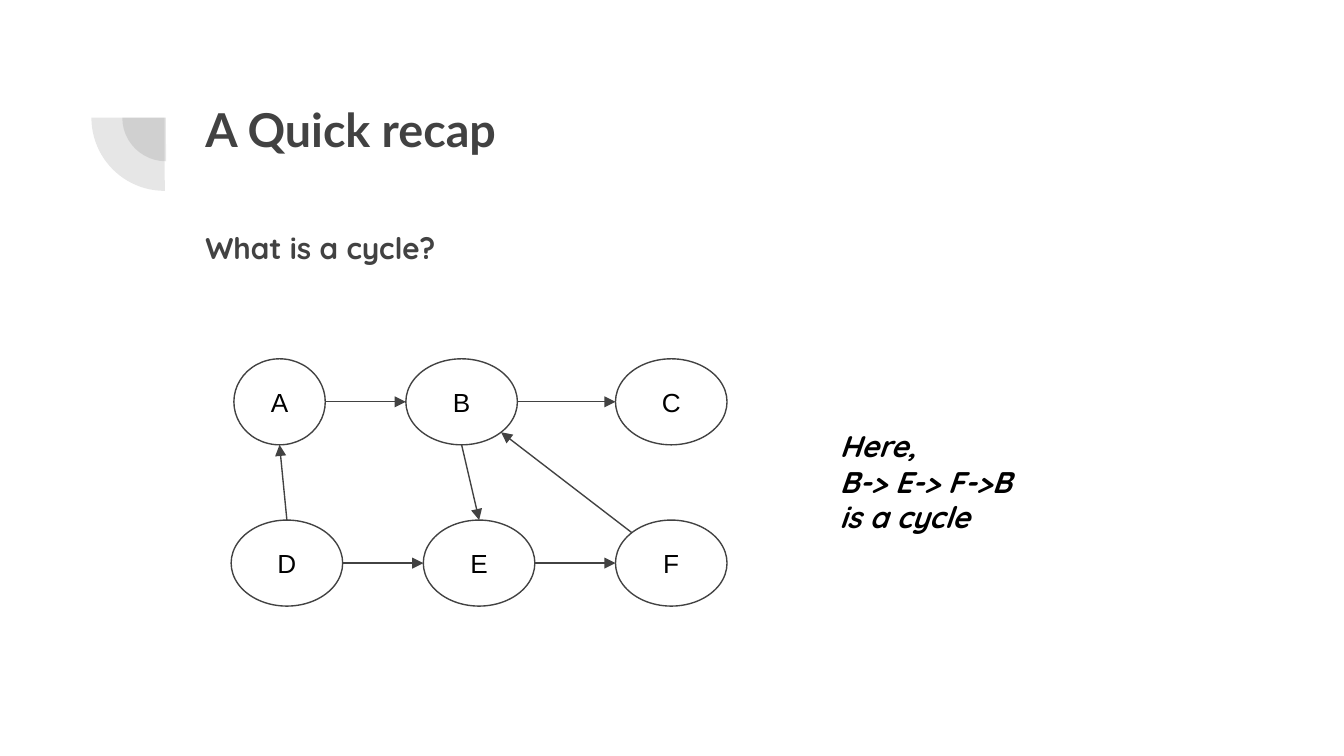
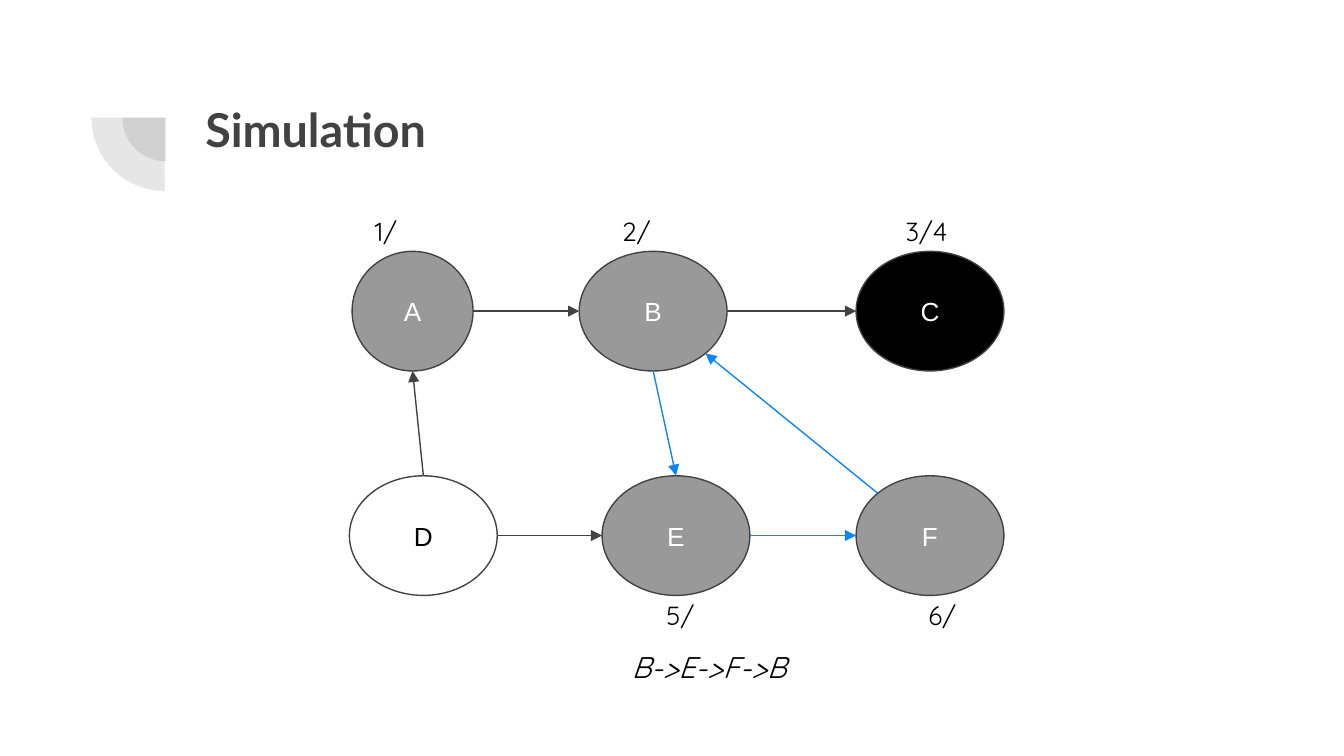
"""Build two slides on finding a cycle in a directed graph."""
from math import sqrt

from lxml import etree
from pptx import Presentation
from pptx.dml.color import RGBColor
from pptx.enum.shapes import MSO_CONNECTOR, MSO_SHAPE
from pptx.enum.text import MSO_ANCHOR, PP_ALIGN
from pptx.oxml.ns import qn
from pptx.util import Inches, Pt

OVAL, PIE = MSO_SHAPE.OVAL, MSO_SHAPE.PIE
STRAIGHT = MSO_CONNECTOR.STRAIGHT
MIDDLE = MSO_ANCHOR.MIDDLE
LEFT, CENTER = PP_ALIGN.LEFT, PP_ALIGN.CENTER

DARK = RGBColor(0x42, 0x42, 0x42)
GRAY = RGBColor(0x99, 0x99, 0x99)
BLUE = RGBColor(0x0C, 0x86, 0xF6)
BLACK = RGBColor(0, 0, 0)
WHITE = RGBColor(0xFF, 0xFF, 0xFF)

WEDGES = [(0.91, 0.55, 0.65), (0.68, 0.33, 1.09)]
DIAG = sqrt(0.5)
SIDES = {
    "top": (0, -1), "left": (-1, 0), "bottom": (0, 1), "right": (1, 0),
    "upper left": (-DIAG, -DIAG), "lower right": (DIAG, DIAG),
}
EDGES = [
    ("A", "right", "B", "left"),
    ("B", "right", "C", "left"),
    ("B", "bottom", "E", "top"),
    ("F", "upper left", "B", "lower right"),
    ("E", "right", "F", "left"),
    ("D", "right", "E", "left"),
    ("D", "top", "A", "bottom"),
]
CYCLE = ("BE", "EF", "FB")

RECAP = {
    "lefts": {"A": 1.74, "B": 3.02, "C": 4.58, "D": 1.72, "E": 3.15, "F": 4.58},
    "rows": (2.67, 3.87), "width": 0.83, "first": 0.68, "height": 0.64,
}
TRACE = {
    "lefts": {"A": 2.62, "B": 4.31, "C": 6.37, "D": 2.6, "E": 4.48, "F": 6.37},
    "rows": (1.87, 3.54), "width": 1.1, "first": 0.9, "height": 0.89,
}
FILLS = {"A": GRAY, "B": GRAY, "C": BLACK, "E": GRAY, "F": GRAY}
TIMES = [
    ("1/", 2.69, 1.5, 0.57), ("2/", 4.53, 1.5, 0.57), ("3/4", 6.64, 1.5, 0.57),
    ("5/", 4.86, 4.36, 0.5), ("6/", 6.81, 4.36, 0.5),
]


def write(shape, text, size, color=BLACK, font="Quicksand", bold=False,
          italic=False, align=LEFT):
    """Put styled text in a shape."""
    frame = shape.text_frame
    frame.word_wrap = True
    for side in ("left", "top", "right", "bottom"):
        setattr(frame, "margin_" + side, Inches(0.1))
    frame.text = text
    for para in frame.paragraphs:
        para.alignment = align
        for run in para.runs:
            face = run.font
            face.name, face.size = font, Pt(size)
            face.bold, face.italic = bold, italic
            face.color.rgb = color
    return frame


def label(slide, text, box, size, **style):
    """Add a text box."""
    area = slide.shapes.add_textbox(*map(Inches, box))
    return write(area, text, size, **style)


def start(deck, title, height):
    """Add a slide with the corner wedges and a title."""
    slide = deck.slides.add_slide(deck.slide_layouts[6])
    for left, top, size in WEDGES:
        wedge = slide.shapes.add_shape(PIE, *map(Inches, (left, top, size, size)))
        wedge.shadow.inherit = False
        wedge.rotation = 270
        wedge.adjustments[0], wedge.adjustments[1] = 107.93, 162
        wedge.line.fill.background()
        wedge.fill.solid()
        wedge.fill.fore_color.rgb = DARK
        tint = wedge._element.spPr.find(qn("a:solidFill")).find(qn("a:srgbClr"))
        etree.SubElement(tint, qn("a:alpha"), val="13000")
    label(slide, title, (1.43, 0.65, 7.69, height), 25, color=DARK, font="Lato",
          bold=True)
    return slide


def arrow(slide, tail, head, color):
    """Draw an arrow between two points."""
    line = slide.shapes.add_connector(STRAIGHT, *map(Inches, tail + head))
    line.line.color.rgb = color
    line.line.width = Pt(0.75)
    props = line._element.spPr
    etree.SubElement(props.find(qn("a:ln")), qn("a:tailEnd"), type="triangle")
    etree.SubElement(props, qn("a:effectLst"))


def graph(slide, plan, fills, accent):
    """Draw the nodes and edges."""
    boxes = {}
    for name, left in plan["lefts"].items():
        top = plan["rows"][name in "DEF"]
        width = plan["first"] if name == "A" else plan["width"]
        box = boxes[name] = (left, top, width, plan["height"])
        fill = fills.get(name, WHITE)
        node = slide.shapes.add_shape(OVAL, *map(Inches, box))
        node.shadow.inherit = False
        node.fill.solid()
        node.fill.fore_color.rgb = fill
        node.line.color.rgb = DARK
        node.line.width = Pt(0.75)
        ink = BLACK if fill == WHITE else WHITE
        frame = write(node, name, 14, color=ink, font="Arial", align=CENTER)
        frame.vertical_anchor = MIDDLE

    def point(name, side):
        left, top, width, height = boxes[name]
        across, down = SIDES[side]
        return left + width * (1 + across) / 2, top + height * (1 + down) / 2

    for source, out, target, into in EDGES:
        color = accent if source + target in CYCLE else DARK
        arrow(slide, point(source, out), point(target, into), color)


def main():
    """Build and save the deck."""
    deck = Presentation()
    deck.slide_width = Inches(10)
    deck.slide_height = deck.slide_width * 9 // 16

    slide = start(deck, "A Quick recap", 0.8)
    body = label(slide, "What is a cycle?", (1.43, 1.57, 7.69, 3.33), 16,
                 color=DARK, bold=True)
    body.paragraphs[0].line_spacing = 1.15
    body.paragraphs[0].space_after = Pt(12)
    graph(slide, RECAP, {}, DARK)
    label(slide, "Here,\nB-> E-> F->B\nis a cycle", (6.15, 3.08, 2.53, 1.01), 16,
          bold=True, italic=True)

    slide = start(deck, "Simulation", 0.7)
    graph(slide, TRACE, FILLS, BLUE)
    for text, left, top, width in TIMES:
        label(slide, text, (left, top, width, 0.44), 14)
    label(slide, "B->E->F->B", (2.45, 4.73, 5.65, 0.47), 16, italic=True, align=CENTER)

    deck.save("out.pptx")


if __name__ == "__main__":
    main()
